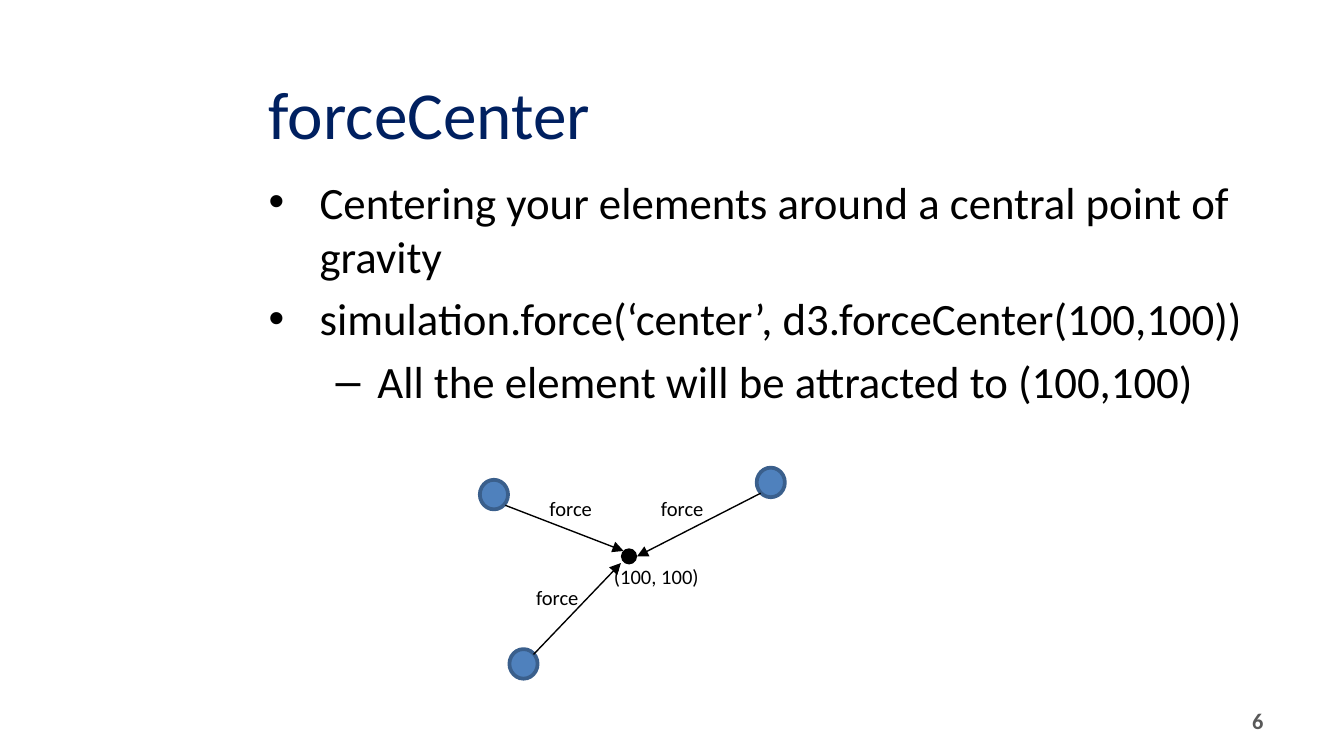
import dataclasses

import lxml.etree
import pptx
import pptx.dml.color
import pptx.enum.shapes
import pptx.enum.text
import pptx.oxml.ns
import pptx.util

Inches = pptx.util.Inches
Pt = pptx.util.Pt
qn = pptx.oxml.ns.qn
RGB = pptx.dml.color.RGBColor.from_string
ALIGN = pptx.enum.text.PP_ALIGN
ANCHOR = pptx.enum.text.MSO_ANCHOR
SHAPE = pptx.enum.shapes.MSO_SHAPE


@dataclasses.dataclass(frozen=True)
class Theme:
    font: str = "Calibri"
    title_color: str = "002060"
    ink: str = "000000"
    page_color: str = "595959"
    node_fill: str = "4F81BD"
    node_line: str = "3A5F8C"
    title_size: int = 36
    body_size: int = 24
    page_size: int = 12
    label_size: int = 11


THEME = Theme()


def add_run(paragraph, text, size, color, bold=False):
    run = paragraph.add_run()
    run.text = text
    run.font.name = THEME.font
    run.font.size = Pt(size)
    run.font.bold = bold
    run.font.color.rgb = RGB(color)


def add_text_box(slide, left, top, width, height):
    return slide.shapes.add_textbox(Inches(left), Inches(top), Inches(width), Inches(height))


def set_bullet(paragraph, mark, margin, hanging):
    properties = paragraph._p.get_or_add_pPr()
    properties.set("marL", str(Inches(margin)))
    properties.set("indent", str(-Inches(hanging)))
    lxml.etree.SubElement(properties, qn("a:buFont")).set("typeface", "Arial")
    lxml.etree.SubElement(properties, qn("a:buChar")).set("char", mark)


def place_title(slide, left, top, width, height):
    title = slide.shapes.title
    title.left, title.top = Inches(left), Inches(top)
    title.width, title.height = Inches(width), Inches(height)
    title.text_frame.vertical_anchor = ANCHOR.MIDDLE
    heading = title.text_frame.paragraphs[0]
    heading.alignment = ALIGN.LEFT
    add_run(heading, "forceCenter", THEME.title_size, THEME.title_color)


def place_body(slide, left, top, width, height):
    points = [
        (0, "Centering your elements around a central point of gravity"),
        (0, "simulation.force(‘center’, d3.forceCenter(100,100))"),
        (1, "All the element will be attracted to (100,100)"),
    ]
    bullets = [("•", 0.38, 0.38), ("–", 0.81, 0.31)]
    frame = add_text_box(slide, left, top, width, height).text_frame
    frame.word_wrap = True
    for index, (level, wording) in enumerate(points):
        point = frame.add_paragraph() if index else frame.paragraphs[0]
        point.level = level
        point.space_before = Pt(0.2 * THEME.body_size)
        set_bullet(point, *bullets[level])
        add_run(point, wording, THEME.body_size, THEME.ink)


def place_page_number(slide, left, top, width, height):
    frame = add_text_box(slide, left, top, width, height).text_frame
    frame.word_wrap = True
    frame.vertical_anchor = ANCHOR.MIDDLE
    number = frame.paragraphs[0]
    number.alignment = ALIGN.RIGHT
    add_run(number, "6", THEME.page_size, THEME.page_color, bold=True)


def add_dot(slide, left, top, width, height, fill, line=None):
    dot = slide.shapes.add_shape(
        SHAPE.OVAL, Inches(left), Inches(top), Inches(width), Inches(height))
    dot.shadow.inherit = False
    dot.fill.solid()
    dot.fill.fore_color.rgb = RGB(fill)
    if line:
        dot.line.color.rgb = RGB(line)
        dot.line.width = Pt(2)
    else:
        dot.line.fill.background()


def add_arrow(slide, start, end):
    arrow = slide.shapes.add_connector(
        pptx.enum.shapes.MSO_CONNECTOR.STRAIGHT, *map(Inches, start + end))
    arrow.line.color.rgb = RGB(THEME.ink)
    arrow.line.width = Pt(0.75)
    lxml.etree.SubElement(arrow.line._get_or_add_ln(), qn("a:tailEnd")).set("type", "triangle")
    lxml.etree.SubElement(arrow._element.spPr, qn("a:effectLst"))


def add_label(slide, left, top, width, wording):
    frame = add_text_box(slide, left, top, width, 0.29).text_frame
    frame.word_wrap = False
    frame.auto_size = pptx.enum.text.MSO_AUTO_SIZE.SHAPE_TO_FIT_TEXT
    add_run(frame.paragraphs[0], wording, THEME.label_size, THEME.ink)


def place_force_diagram(slide, left, top):
    pulls = [
        ((0, 0.09), (0.19, 0.28), (1.07, 0.62), (0.42, 0.16)),
        ((2.06, 0), (2.09, 0.19), (1.17, 0.66), (1.25, 0.16)),
        ((0.22, 1.35), (0.4, 1.39), (1.05, 0.71), (0.32, 0.82)),
    ]

    def at(offset):
        return left + offset[0], top + offset[1]

    for node, _, _, _ in pulls:
        add_dot(slide, *at(node), 0.21, 0.22, THEME.node_fill, THEME.node_line)
    add_label(slide, *at((0.9, 0.67)), 0.84, "(100, 100)")
    add_dot(slide, *at((1.05, 0.6)), 0.12, 0.12, THEME.ink)
    for _, start, end, _ in pulls:
        add_arrow(slide, at(start), at(end))
    for _, _, _, label in pulls:
        add_label(slide, *at(label), 0.53, "force")


def main():
    deck = pptx.Presentation()
    deck.slide_width = Inches(10)
    deck.slide_height = deck.slide_width * 9 // 16
    slide = deck.slides.add_slide(deck.slide_layouts.get_by_name("Title Only"))
    place_title(slide, 1.9, 0.44, 7.44, 0.79)
    place_body(slide, 1.9, 1.25, 7.47, 3.88)
    place_page_number(slide, 7.17, 5.21, 2.33, 0.3)
    place_force_diagram(slide, 3.57, 3.48)
    deck.save("out.pptx")


if __name__ == "__main__":
    main()
